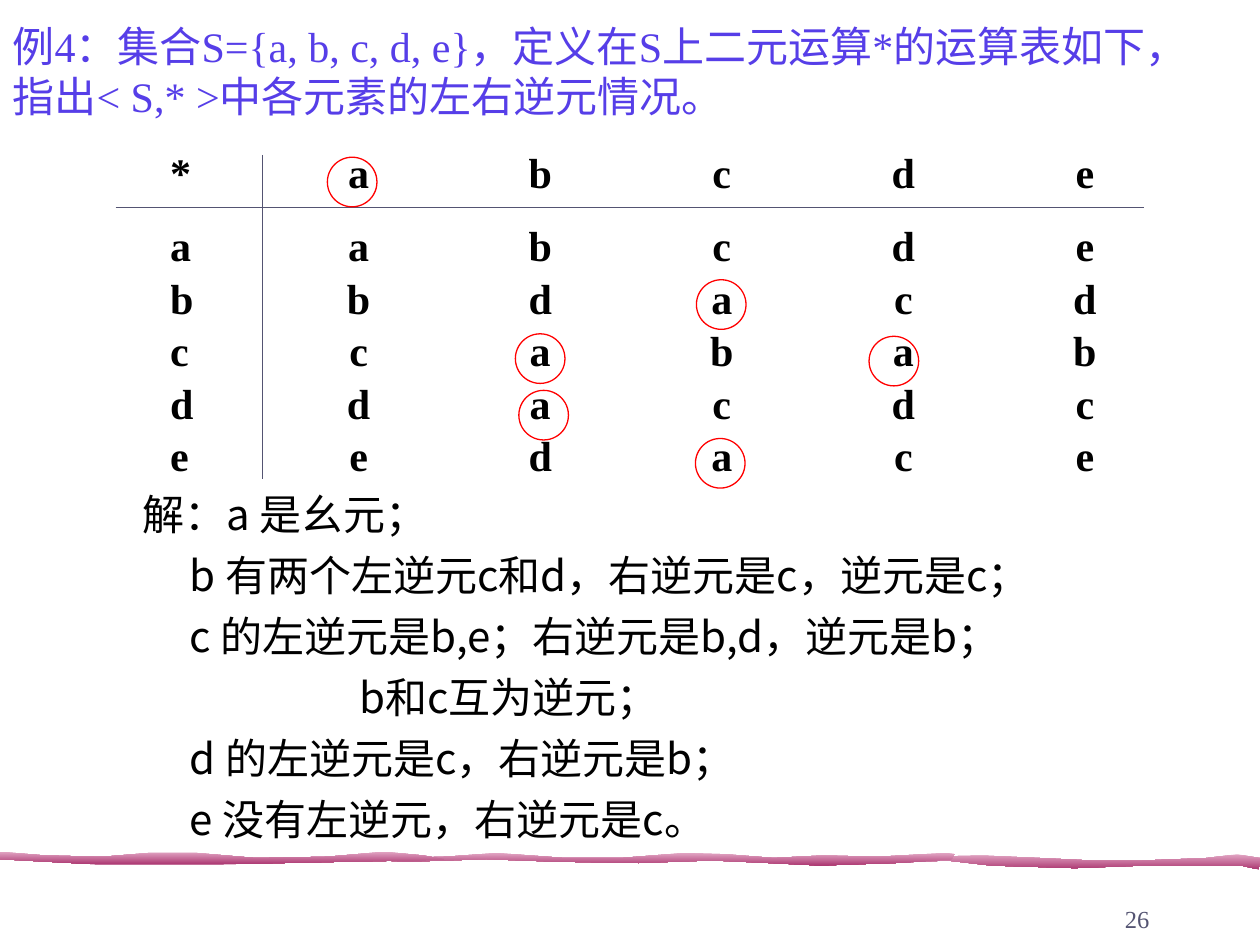
from lxml.etree import SubElement
from pptx import Presentation
from pptx.dml.color import RGBColor as RGB
from pptx.enum.shapes import MSO_CONNECTOR as Conn, MSO_SHAPE as Form
from pptx.enum.text import MSO_ANCHOR as Anchor, MSO_AUTO_SIZE as Auto, PP_ALIGN as Align
from pptx.oxml.ns import qn
from pptx.util import Cm, Pt

HUES = {"ink": "000000", "title": "563EE8", "line": "545472", "ring": "FF0000",
        "page": "FFFFFF", "pale": "E2A6C4", "deep": "AC3872"}
SERIF, SANS = "Times New Roman", "Noto Sans CJK SC"
HEAD = "例4：集合S={a, b, c, d, e}，定义在S上二元运算*的运算表如下，指出< S,* >中各元素的左右逆元情况。"
ROWS = ["*abcde", "aabcde", "bbdacd", "ccabab", "ddacdc", "eedace"]
RINGS = [(5.13, 0.25), (12.57, 2.72), (8.92, 3.81), (8.99, 4.95), (12.55, 5.92), (16.05, 3.86)]
LINES = [(0, "解：a 是幺元；"),
         (0.96, "b 有两个左逆元c和d，右逆元是c，逆元是c；"),
         (0.96, "c 的左逆元是b,e；右逆元是b,d，逆元是b；"),
         (4.37, "b和c互为逆元；"),
         (0.96, "d 的左逆元是c，右逆元是b；"),
         (0.96, "e 没有左逆元，右逆元是c。")]
BANDS = [
    [(730, 4), (780, 3), (826, 5), (868, 7), (905, 7), (957, 5), (982, 2), (1000, 5),
     (999, 14), (985, 11), (946, 11), (908, 11), (853, 13), (787, 11), (752, 7), (705, 9)],
    [(758, 2), (755, 6), (711, 9), (651, 11), (610, 9), (565, 7), (507, 9), (442, 8),
     (386, 6), (323, 8), (302, 7), (313, 5), (354, 4), (394, 1), (448, 5), (493, 5),
     (543, 1), (576, 2), (614, 5), (653, 3), (697, 4), (751, 1)],
    [(329, 7), (274, 8), (176, 10), (76, 10), (0, 6), (0, 0), (36, 3), (82, 4),
     (118, 1), (156, 1), (203, 5), (260, 4), (305, 0), (336, 3), (353, 6)],
]


def tint(name):
    """Return the named colour."""
    return RGB.from_string(HUES[name])


def write(para, text, size=24, face=SERIF, hue="ink", bold=False, align=Align.LEFT,
          left=0, before=0):
    """Fill one paragraph with formatted text."""
    para.alignment, para.space_before = align, Pt(before)
    props = para._p.get_or_add_pPr()
    props.set("marL", str(Cm(left)))
    props.set("indent", "0")
    run = para.add_run()
    run.text = text
    font = run.font
    font.name, font.size, font.bold = face, Pt(size), bold
    font.color.rgb = tint(hue)
    SubElement(run._r.get_or_add_rPr(), qn("a:ea"), typeface=SANS)


def frame(slide, x, y, w, h, anchor=Anchor.TOP):
    """Add an empty wrapping text box and return its text frame."""
    body = slide.shapes.add_textbox(Cm(x), Cm(y), Cm(w), Cm(h)).text_frame
    body.word_wrap, body.vertical_anchor = True, anchor
    return body


def rule(slide, x1, y1, x2, y2):
    """Draw a thin straight line."""
    line = slide.shapes.add_connector(Conn.STRAIGHT, Cm(x1), Cm(y1), Cm(x2), Cm(y2))
    line.line.color.rgb, line.line.width = tint("line"), Pt(0.75)
    SubElement(line._element.spPr, qn("a:effectLst"))


def wave(slide, x, y):
    """Draw the brush stroke across the foot of the slide."""
    for first, *rest in BANDS:
        pen = slide.shapes.build_freeform(*first, scale=Cm(0.0254))
        pen.add_line_segments(rest, close=True)
        band = pen.convert_to_shape(Cm(x), Cm(y))
        band.shadow.inherit = False
        band.line.fill.background()
        band.fill.gradient()
        band.fill.gradient_angle = 270
        for stop, name, place in zip(band.fill.gradient_stops, ("pale", "deep"), (0, 1)):
            stop.color.rgb, stop.position = tint(name), place


def heading(slide, x, y, w, h):
    """Place and format the title."""
    title = slide.shapes.title
    title.left, title.top, title.width, title.height = Cm(x), Cm(y), Cm(w), Cm(h)
    title.fill.solid()
    title.fill.fore_color.rgb = tint("page")
    body = title.text_frame
    body.word_wrap, body.auto_size = True, Auto.NONE
    body.vertical_anchor, body.margin_right = Anchor.BOTTOM, Cm(0.9)
    write(body.paragraphs[0], HEAD, hue="title")


def table(slide, x, y, w, h):
    """Lay out the operation table with its rules and rings."""
    wide = [1.97] + [3.66] * (len(ROWS[0]) - 1)
    high = [1.47] + [1.06] * (len(ROWS) - 1)
    grid = slide.shapes.add_table(len(high), len(wide), Cm(x + 1.96), Cm(y + 0.13),
                                  Cm(sum(wide)), Cm(sum(high))).table
    grid.first_row = grid.horz_banding = False
    for col, size in zip(grid.columns, wide):
        col.width = Cm(size)
    for line, size, text in zip(grid.rows, high, ROWS):
        line.height = Cm(size)
        for i, (cell, mark) in enumerate(zip(line.cells, text)):
            cell.fill.background()
            cell.margin_left = cell.margin_right = cell.margin_top = cell.margin_bottom = 0
            write(cell.text_frame.paragraphs[0], mark, bold=True,
                  align=Align.CENTER if i else Align.LEFT)
    rule(slide, x + 3.82, y + 0.2, x + 3.82, y + h)
    rule(slide, x + 0.86, y + 1.27, x + w, y + 1.27)
    for left, top in RINGS:
        ring = slide.shapes.add_shape(Form.OVAL, Cm(x + left), Cm(y + top), Cm(1), Cm(1))
        ring.shadow.inherit = False
        ring.fill.background()
        ring.line.color.rgb, ring.line.width = tint("ring"), Pt(0.75)


def answer(slide, x, y, w, h):
    """Write the solution, one line for each element."""
    body = frame(slide, x, y, w, h)
    for i, (left, text) in enumerate(LINES):
        para = body.add_paragraph() if i else body.paragraphs[0]
        write(para, text, face=SANS, left=left, before=6 if i else 0)


def number(slide, x, y, w, h):
    """Write the page number."""
    body = frame(slide, x, y, w, h, Anchor.BOTTOM)
    write(body.paragraphs[0], "26", size=14, hue="line", align=Align.RIGHT)


def main():
    """Build and save the slide."""
    deck = Presentation()
    deck.slide_width, deck.slide_height = Cm(25.4), Cm(19.05)
    slide = deck.slides.add_slide(deck.slide_layouts[5])
    wave(slide, 0, 17.17)
    number(slide, 18.14, 17.68, 5.28, 1.27)
    heading(slide, 0, -0.33, 25.4, 2.9)
    answer(slide, 2.62, 9.73, 21.59, 7.67)
    table(slide, 1.47, 2.92, 21.6, 6.73)
    deck.save("out.pptx")


if __name__ == "__main__":
    main()
